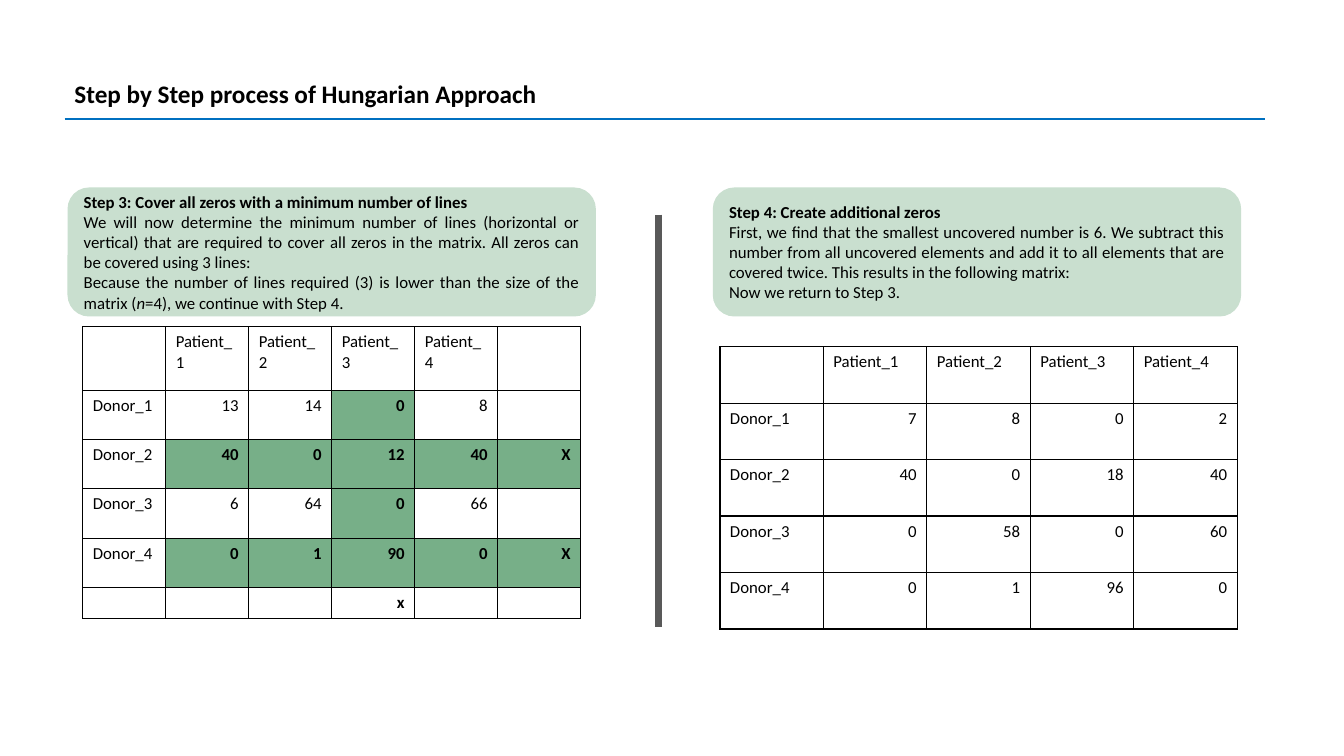
from lxml import etree
from pptx import Presentation
from pptx.dml.color import RGBColor
from pptx.enum.shapes import MSO_CONNECTOR, MSO_SHAPE
from pptx.enum.text import MSO_ANCHOR, PP_ALIGN
from pptx.oxml.ns import qn
from pptx.util import Inches, Pt

STRAIGHT = MSO_CONNECTOR.STRAIGHT
ROUNDED = MSO_SHAPE.ROUNDED_RECTANGLE
MIDDLE = MSO_ANCHOR.MIDDLE
LEFT, RIGHT, JUSTIFY = PP_ALIGN.LEFT, PP_ALIGN.RIGHT, PP_ALIGN.JUSTIFY

BLACK = RGBColor(0x00, 0x00, 0x00)
WHITE = RGBColor(0xFF, 0xFF, 0xFF)
BLUE = RGBColor(0x00, 0x70, 0xC0)
GREY = RGBColor(0x59, 0x59, 0x59)
PALE_GREEN = RGBColor(0xC9, 0xDF, 0xCF)
GREEN = RGBColor(0x77, 0xAF, 0x88)

PATIENTS = ["Patient_1", "Patient_2", "Patient_3", "Patient_4"]
COVERED = [
    ["", *PATIENTS, ""],
    ["Donor_1", "13", "14", "0", "8", ""],
    ["Donor_2", "40", "0", "12", "40", "X"],
    ["Donor_3", "6", "64", "0", "66", ""],
    ["Donor_4", "0", "1", "90", "0", "X"],
    ["", "", "", "x", "", ""],
]
REDUCED = [
    ["", *PATIENTS],
    ["Donor_1", "7", "8", "0", "2"],
    ["Donor_2", "40", "0", "18", "40"],
    ["Donor_3", "0", "58", "0", "60"],
    ["Donor_4", "0", "1", "96", "0"],
]
# Each paragraph is a list of runs
STEP_3 = [
    ["Step 3: Cover all zeros with a minimum number of lines"],
    ["We will now determine the minimum number of lines (horizontal or vertical) that are "
     "required to cover all zeros in the matrix. All zeros can be covered using 3 lines:"],
    ["Because the number of lines required (3) is lower than the size of the matrix (",
     "n", "=4), we continue with Step 4."],
]
STEP_4 = [
    ["Step 4: Create additional zeros"],
    ["First, we find that the smallest uncovered number is 6. We subtract this number from all "
     "uncovered elements and add it to all elements that are covered twice. "
     "This results in the following matrix:"],
    ["Now we return to Step 3."],
]


class SlideBuilder:
    font = "Calibri"
    body_size = 12

    def __init__(self, s):
        self.s = s

    def style(self, r, size=body_size, bold=False, italic=False):
        r.font.name = self.font
        r.font.size = Pt(size)
        r.font.color.rgb = BLACK
        r.font.bold = bold
        r.font.italic = italic

    def line(self, x1, y1, x2, y2, color, width):
        c = self.s.shapes.add_connector(
            STRAIGHT, Inches(x1), Inches(y1), Inches(x2), Inches(y2))
        c.line.color.rgb = color
        c.line.width = Pt(width)
        etree.SubElement(c._element.spPr, qn("a:effectLst"))

    def title(self, x, y, w, h, text):
        tf = self.s.shapes.add_textbox(Inches(x), Inches(y), Inches(w), Inches(h)).text_frame
        tf.word_wrap = True
        tf.text = text
        self.style(tf.paragraphs[0].runs[0], 18, bold=True)

    def step_box(self, x, y, w, h, paragraphs):
        sp = self.s.shapes.add_shape(ROUNDED, Inches(x), Inches(y), Inches(w), Inches(h))
        sp.shadow.inherit = False
        sp.fill.solid()
        sp.fill.fore_color.rgb = PALE_GREEN
        sp.line.fill.background()
        tf = sp.text_frame
        tf.word_wrap = True
        tf.vertical_anchor = MIDDLE
        for i, runs in enumerate(paragraphs):
            p = tf.add_paragraph() if i else tf.paragraphs[0]
            p.alignment = JUSTIFY
            for text in runs:
                r = p.add_run()
                r.text = text
                self.style(r, bold=i == 0, italic=text == "n")

    def borders(self, cell):
        tcPr = cell._tc.get_or_add_tcPr()
        for side in ("a:lnL", "a:lnR", "a:lnT", "a:lnB"):
            ln = etree.SubElement(tcPr, qn(side), w=str(Pt(1)))
            fill = etree.SubElement(ln, qn("a:solidFill"))
            etree.SubElement(fill, qn("a:srgbClr"), val=str(BLACK))

    def matrix(self, x, y, w, heights, rows, marked_rows=(), marked_col=None):
        n_cols = len(rows[0])
        table = self.s.shapes.add_table(
            len(rows), n_cols, Inches(x), Inches(y), Inches(w), Inches(sum(heights))).table
        table.first_row = table.horz_banding = False
        for col in table.columns:
            col.width = Inches(w / n_cols)
        for i, values in enumerate(rows):
            table.rows[i].height = Inches(heights[i])
            for j, text in enumerate(values):
                cell = table.cell(i, j)
                self.borders(cell)
                covered = (i in marked_rows and j > 0) or (j == marked_col and 0 < i < 5)
                cell.fill.solid()
                cell.fill.fore_color.rgb = GREEN if covered else WHITE
                p = cell.text_frame.paragraphs[0]
                p.text = text
                p.alignment = RIGHT if i and j else LEFT
                for r in p.runs:
                    self.style(r, bold=covered or text == "x")
                if not text:
                    # Keeps empty cells from growing the row
                    etree.SubElement(p._p, qn("a:endParaRPr"), sz=str(self.body_size * 100))


def main():
    prs = Presentation()
    prs.slide_width, prs.slide_height = Inches(13.33), Inches(7.5)
    b = SlideBuilder(prs.slides.add_slide(prs.slide_layouts[6]))

    # Divider and title rule
    b.line(6.53, 2.13, 6.53, 6.22, GREY, 4.5)
    b.line(0.64, 1.18, 12.55, 1.18, BLUE, 1.5)

    # Matrices
    b.matrix(0.82, 3.24, 4.94, [0.63] + [0.49] * 4 + [0.3], COVERED,
             marked_rows=(2, 4), marked_col=3)
    b.matrix(7.14, 3.44, 5.13, [0.56] * 5, REDUCED)

    # Title and step descriptions
    b.title(0.64, 0.73, 10.51, 0.4, "Step by Step process of Hungarian Approach")
    for x, paragraphs in ((0.67, STEP_3), (7.07, STEP_4)):
        b.step_box(x, 1.86, 5.24, 1.28, paragraphs)

    prs.save("out.pptx")


if __name__ == "__main__":
    main()
